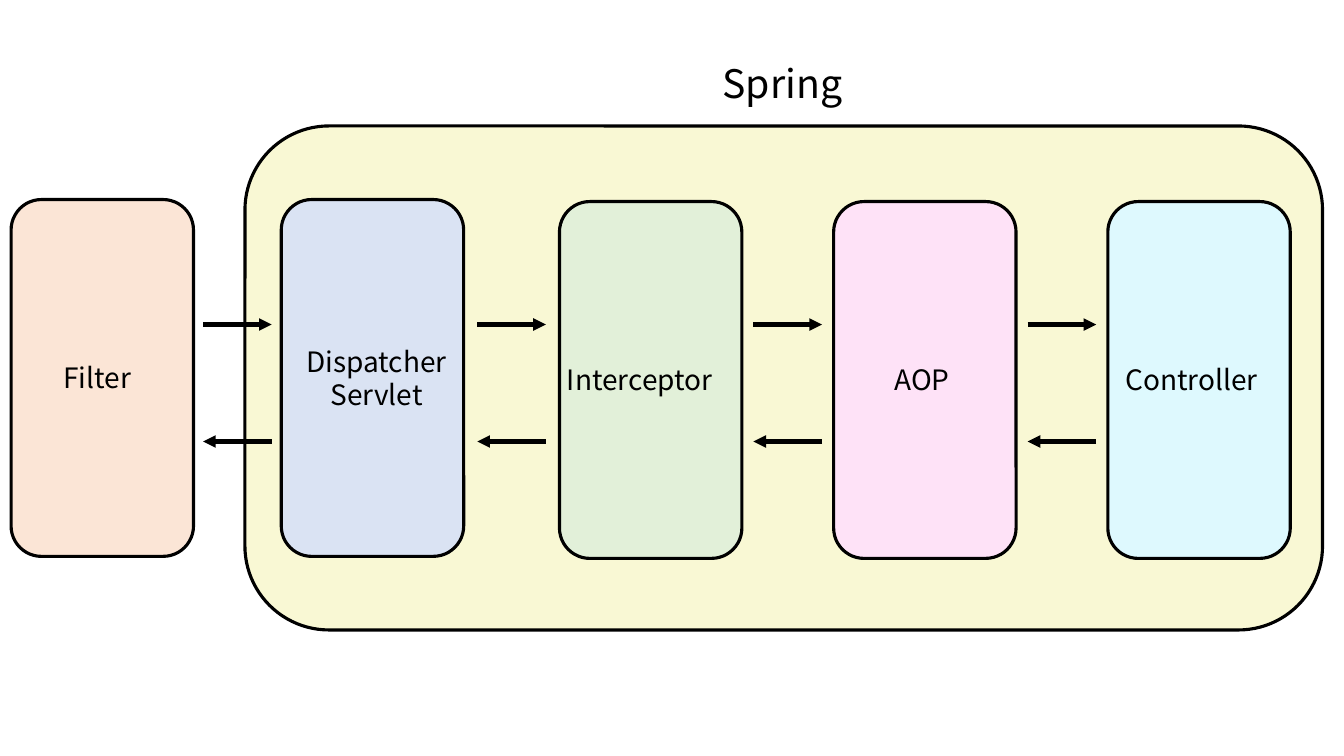
"""Draw the path of a request through the filter and the Spring layers."""
from dataclasses import dataclass
from itertools import pairwise

from lxml.etree import SubElement
from pptx import Presentation
from pptx.dml.color import RGBColor
from pptx.enum.shapes import MSO_CONNECTOR as Connector, MSO_SHAPE as Shape
from pptx.enum.text import MSO_AUTO_SIZE as AutoSize, PP_ALIGN as Align
from pptx.oxml.ns import qn
from pptx.util import Inches, Pt

CELL = 0.1
SLIDE_COLUMNS, SLIDE_ROWS = 133.33, 75
STAGE_COLUMNS, STAGE_ROWS = 18.1, 35.4
ARROW_COLUMNS = 6.8
REQUEST_ROW, RESPONSE_ROW = 32.2, 43.8
INK = "000000"
FONT_FORMAT = {"name": "Noto Sans CJK KR"}
FRAME_FORMAT = {"word_wrap": False, "auto_size": AutoSize.SHAPE_TO_FIT_TEXT}


@dataclass(frozen=True)
class Area:
    column: float
    row: float
    columns: float
    rows: float

    def lengths(self) -> list[int]:
        return [grid(n) for n in (self.column, self.row, self.columns, self.rows)]


@dataclass(frozen=True)
class Stage:
    lines: tuple[str, ...]
    column: float
    row: float
    fill: str
    label_columns: float
    label_rows: float = 4.4
    label_shift: float = 0
    align: Align = Align.LEFT

    def area(self) -> Area:
        return Area(self.column, self.row, STAGE_COLUMNS, STAGE_ROWS)

    def label_area(self) -> Area:
        return Area(
            self.column + (STAGE_COLUMNS - self.label_columns) / 2 + self.label_shift,
            self.row + (STAGE_ROWS - self.label_rows) / 2,
            self.label_columns,
            self.label_rows,
        )


STAGES = (
    Stage(("Filter",), 1.1, 19.8, "FBE5D6", 9.5, label_shift=-0.1),
    Stage(("Dispatcher", "Servlet"), 27.9, 19.8, "DAE3F3", 17.9, 7.7, 0.4, Align.CENTER),
    Stage(("Interceptor",), 55.5, 20, "E2F0D9", 18.6),
    Stage(("AOP",), 82.7, 20, "FEE2F7", 8),
    Stage(("Controller",), 109.9, 20, "DEF9FE", 16.6),
)


def grid(cells: float) -> int:
    return Inches(cells * CELL)


def colour(value: str) -> RGBColor:
    return RGBColor.from_string(value)


def apply_format(target: object, values: dict) -> None:
    for name, value in values.items():
        setattr(target, name, value)


def draw_box(page, area: Area, fill: str) -> None:
    box = page.shapes.add_shape(Shape.ROUNDED_RECTANGLE, *area.lengths())
    box.shadow.inherit = False
    box.fill.solid()
    box.fill.fore_color.rgb = colour(fill)
    box.line.color.rgb = colour(INK)
    box.line.width = Pt(2.25)


def draw_text(page, area: Area, lines: tuple[str, ...], size: float,
              align: Align = Align.LEFT) -> None:
    frame = page.shapes.add_textbox(*area.lengths()).text_frame
    apply_format(frame, FRAME_FORMAT)
    frame.text = "\n".join(lines)
    for para in frame.paragraphs:
        para.alignment = align
        for span in para.runs:
            apply_format(span.font, FONT_FORMAT | {"size": Pt(size)})
            span.font.color.rgb = colour(INK)


def draw_arrow(page, start: float, end: float, row: float) -> None:
    arrow = page.shapes.add_connector(
        Connector.STRAIGHT, grid(start), grid(row), grid(end), grid(row)
    )
    arrow.line.color.rgb = colour(INK)
    arrow.line.width = Pt(3)
    SubElement(arrow.line._get_or_add_ln(), qn("a:tailEnd"), type="triangle")
    SubElement(arrow._element.spPr, qn("a:effectLst"))


def main() -> None:
    deck = Presentation()
    deck.slide_width, deck.slide_height = grid(SLIDE_COLUMNS), grid(SLIDE_ROWS)
    page = deck.slides.add_slide(deck.slide_layouts[6])

    draw_box(page, Area(24.3, 12.5, 106.9, 50), "F9F8D4")
    draw_text(page, Area(70.7, 5.4, 15.2, 5.7), ("Spring",), 28)
    for stage in STAGES:
        draw_box(page, stage.area(), stage.fill)
        draw_text(page, stage.label_area(), stage.lines, 20, stage.align)
    for before, after in pairwise(STAGES):
        middle = (before.column + STAGE_COLUMNS + after.column) / 2
        left, right = middle - ARROW_COLUMNS / 2, middle + ARROW_COLUMNS / 2
        draw_arrow(page, left, right, REQUEST_ROW)
        draw_arrow(page, right, left, RESPONSE_ROW)

    deck.save("out.pptx")


if __name__ == "__main__":
    main()
